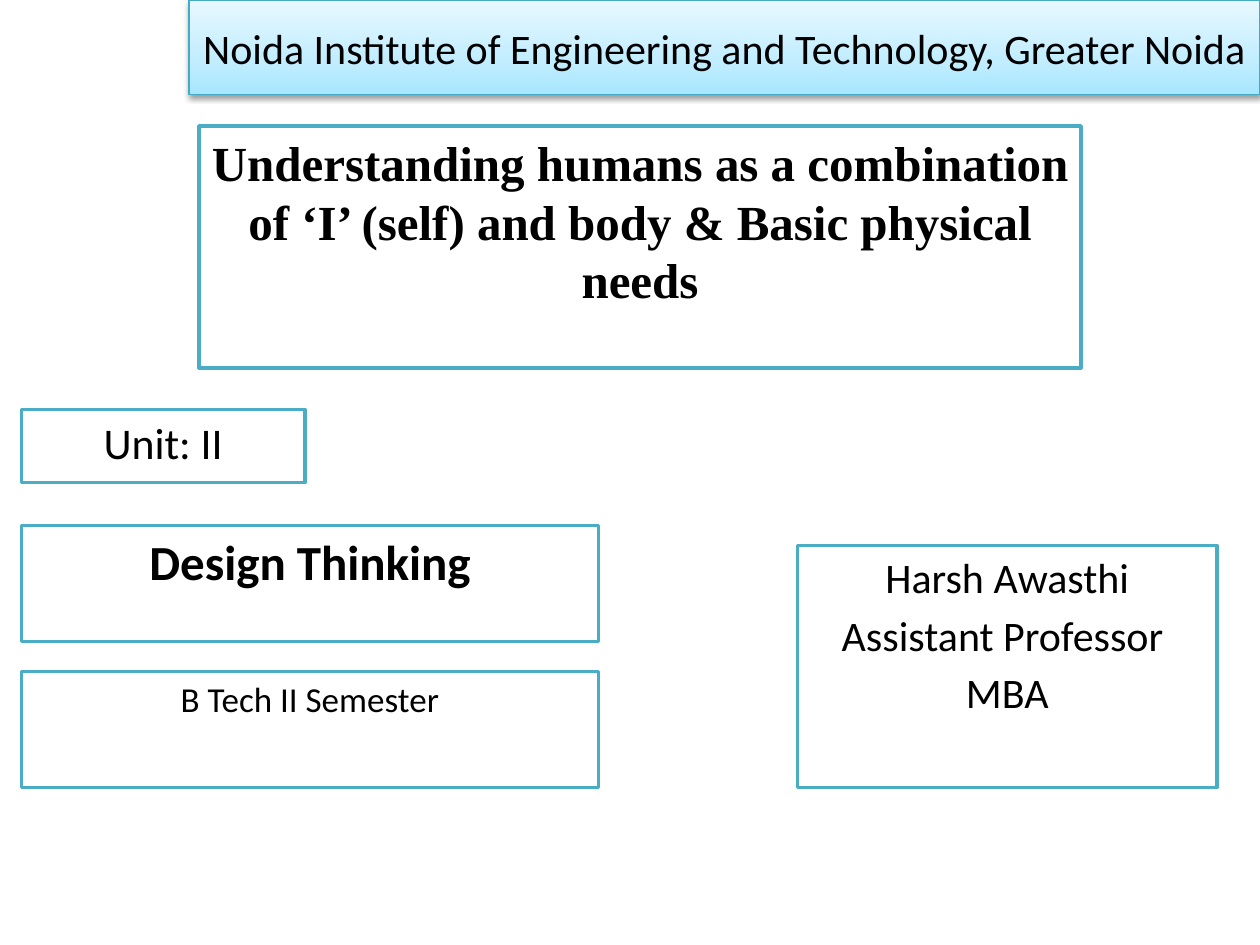
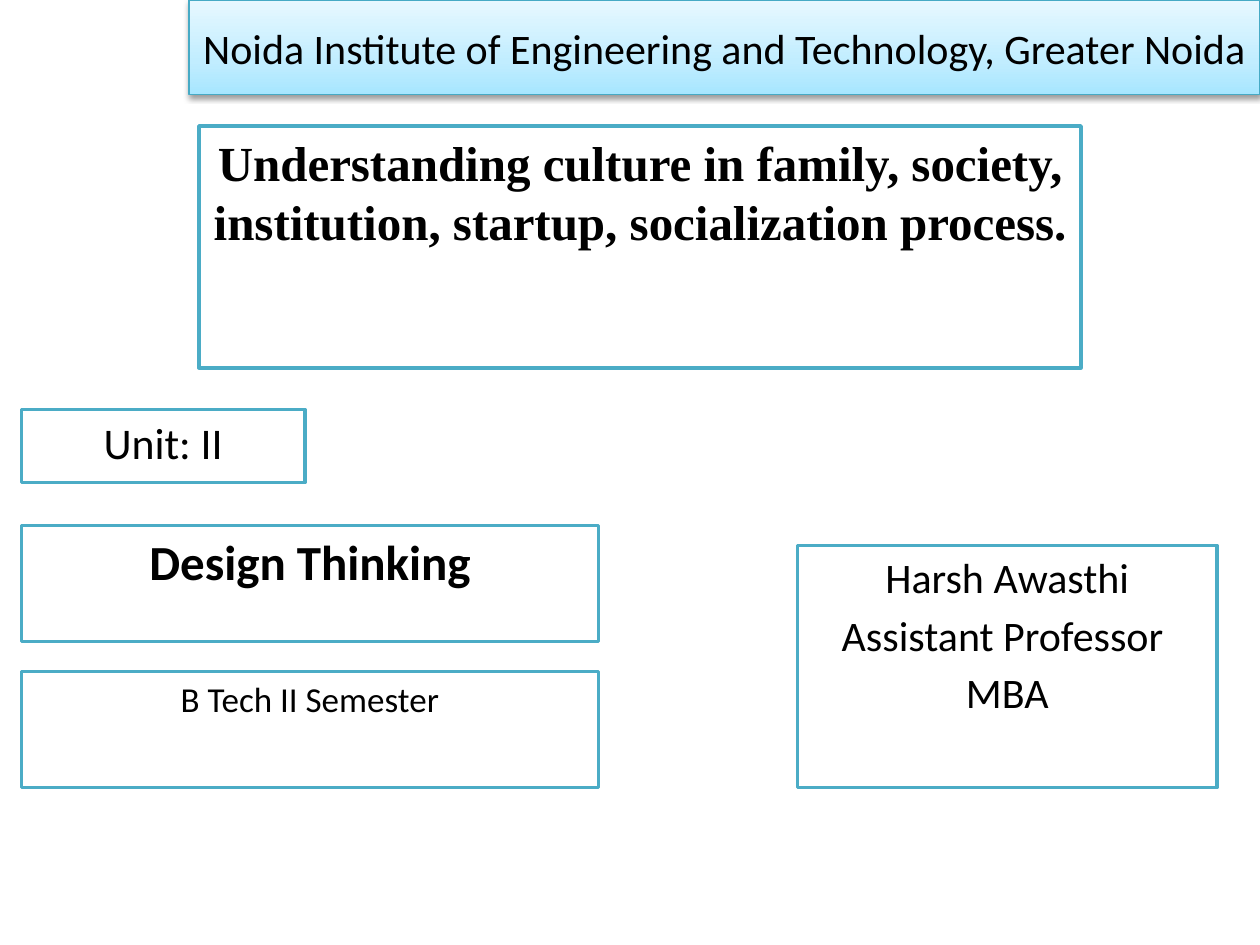
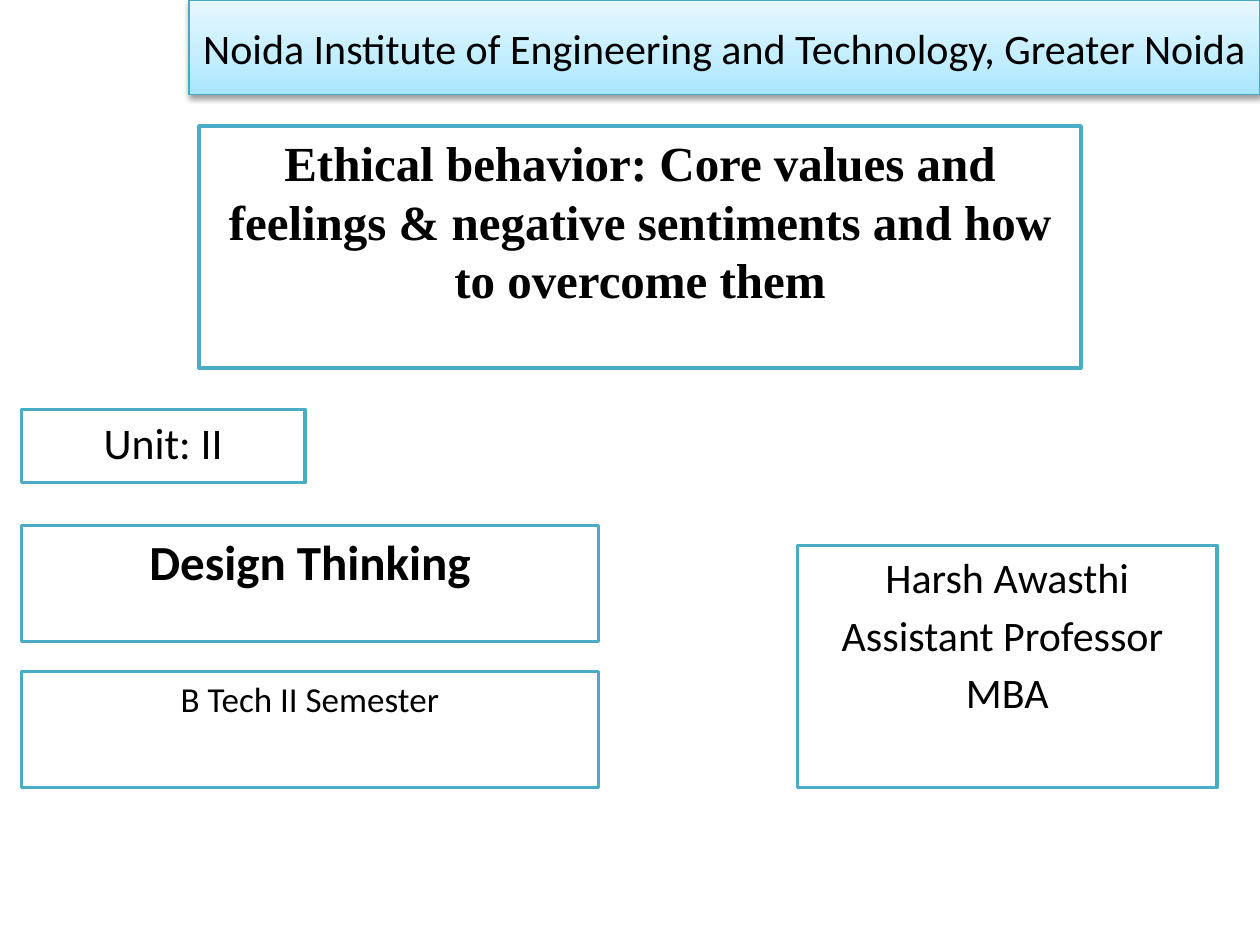
from copy import deepcopy
from pptx import Presentation
from pptx.dml.color import RGBColor
from pptx.enum.shapes import MSO_SHAPE
from pptx.enum.text import MSO_ANCHOR, PP_ALIGN
from pptx.oxml import parse_xml
from pptx.oxml.ns import nsdecls, qn
from pptx.util import Inches, Pt

TOPICS = [
    "Understanding humans as a combination of ‘I’ (self) and body & Basic physical needs",
    "Understanding culture in family, society, institution, startup, socialization process.",
    "Ethical behavior: Core values and feelings & negative sentiments and how to overcome them",
]
SCHOOL = "Noida Institute of Engineering and Technology, Greater Noida"
TEACHER = ["Harsh Awasthi", "Assistant Professor ", "MBA"]

WHITE, BLACK, TEAL, EDGE = "FFFFFF", "000000", "4BACC6", "46AAC5"
BLUES = [(0, "A7E6FF"), (0.35, "C1EDFF"), (1, "E7F8FF")]

LEFT, WIDE, LOW = 0.17, 4.58, 6.25
BAND = (1.5, 0, 8.5, 0.75)
TOPIC = (1.58, 1, 7, 1.92)
STAFF = (6.33, LOW - 1.92, 3.33, 1.92)
# Shared boxes: place, lines of text, format
CARDS = [
    (STAFF, TEACHER, dict(size=24)),
    ((LEFT, 3.25, 2.25, 0.58), ["Unit: II"], dict(size=25)),
    ((LEFT, 4.17, WIDE, 0.92), ["Design Thinking"], dict(size=28, bold=True)),
    ((LEFT, LOW - 0.92, WIDE, 0.92), ["B Tech II Semester"], dict(size=20)),
]


def rgb(code):
    return RGBColor.from_string(code)


def write(shape, lines, size=24, font="Calibri", bold=False, anchor=MSO_ANCHOR.TOP, gap=4):
    frame = shape.text_frame
    frame.word_wrap = True
    frame.vertical_anchor = anchor
    for i, line in enumerate(lines):
        para = frame.paragraphs[0] if i == 0 else frame.add_paragraph()
        para.alignment = PP_ALIGN.CENTER
        if i:
            para.space_before = Pt(gap)
        run = para.add_run()
        run.text = line
        run.font.size, run.font.name, run.font.bold = Pt(size), font, bold
        run.font.color.rgb = rgb(BLACK)


def add_box(slide, place, line=TEAL, weight=2):
    box = slide.shapes.add_shape(MSO_SHAPE.RECTANGLE, *map(Inches, place))
    box.fill.solid()
    box.fill.fore_color.rgb = rgb(WHITE)
    box.line.color.rgb = rgb(line)
    box.line.width = Pt(weight)
    box.shadow.inherit = False
    return box


def shade(box):
    """Give the box the blue gradient and a soft shadow below."""
    box.fill.gradient()
    box.fill.gradient_angle = 90
    props = box._element.spPr
    stops = props.find(".//" + qn("a:gsLst"))
    stops.insert(1, deepcopy(stops[0]))
    for stop, (spot, code) in zip(box.fill.gradient_stops, BLUES):
        stop.position = spot
        stop.color.rgb = rgb(code)
    props.find(qn("a:effectLst")).append(parse_xml(
        f'<a:outerShdw {nsdecls("a")} blurRad="40000" dist="20000" dir="5400000" '
        f'rotWithShape="0"><a:srgbClr val="{BLACK}"><a:alpha val="38000"/>'
        '</a:srgbClr></a:outerShdw>'))


def add_cover(deck, topic):
    slide = deck.slides.add_slide(deck.slide_layouts[6])
    band = add_box(slide, BAND, line=EDGE, weight=0.75)
    shade(band)
    write(band, [SCHOOL], anchor=MSO_ANCHOR.MIDDLE)
    write(add_box(slide, TOPIC), [topic], size=28, font="Times New Roman", bold=True)
    for place, lines, form in CARDS:
        write(add_box(slide, place), lines, **form)


def main():
    deck = Presentation()
    deck.slide_width, deck.slide_height = Inches(10), Inches(7.5)
    for topic in TOPICS:
        add_cover(deck, topic)
    deck.save("out.pptx")


if __name__ == "__main__":
    main()
